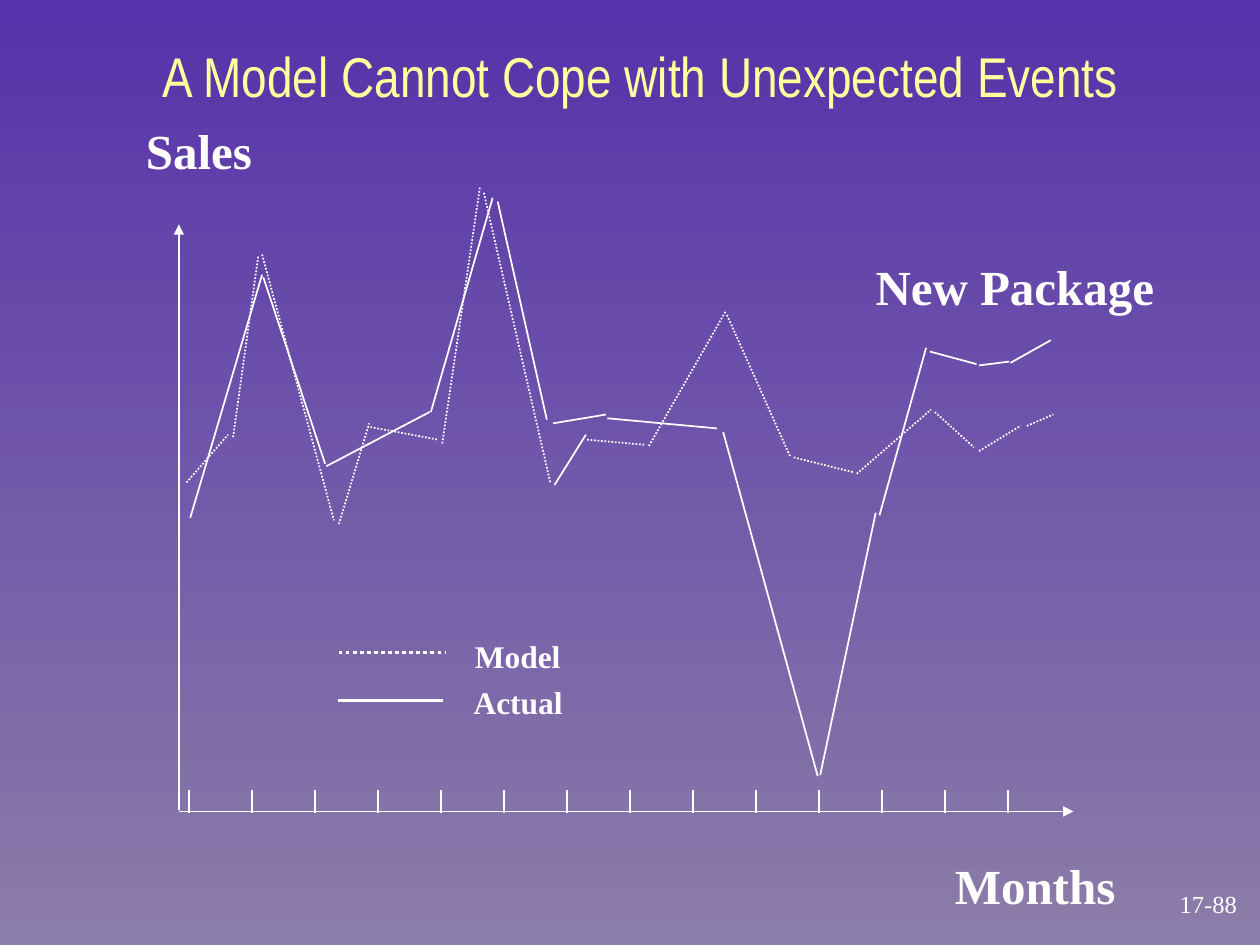
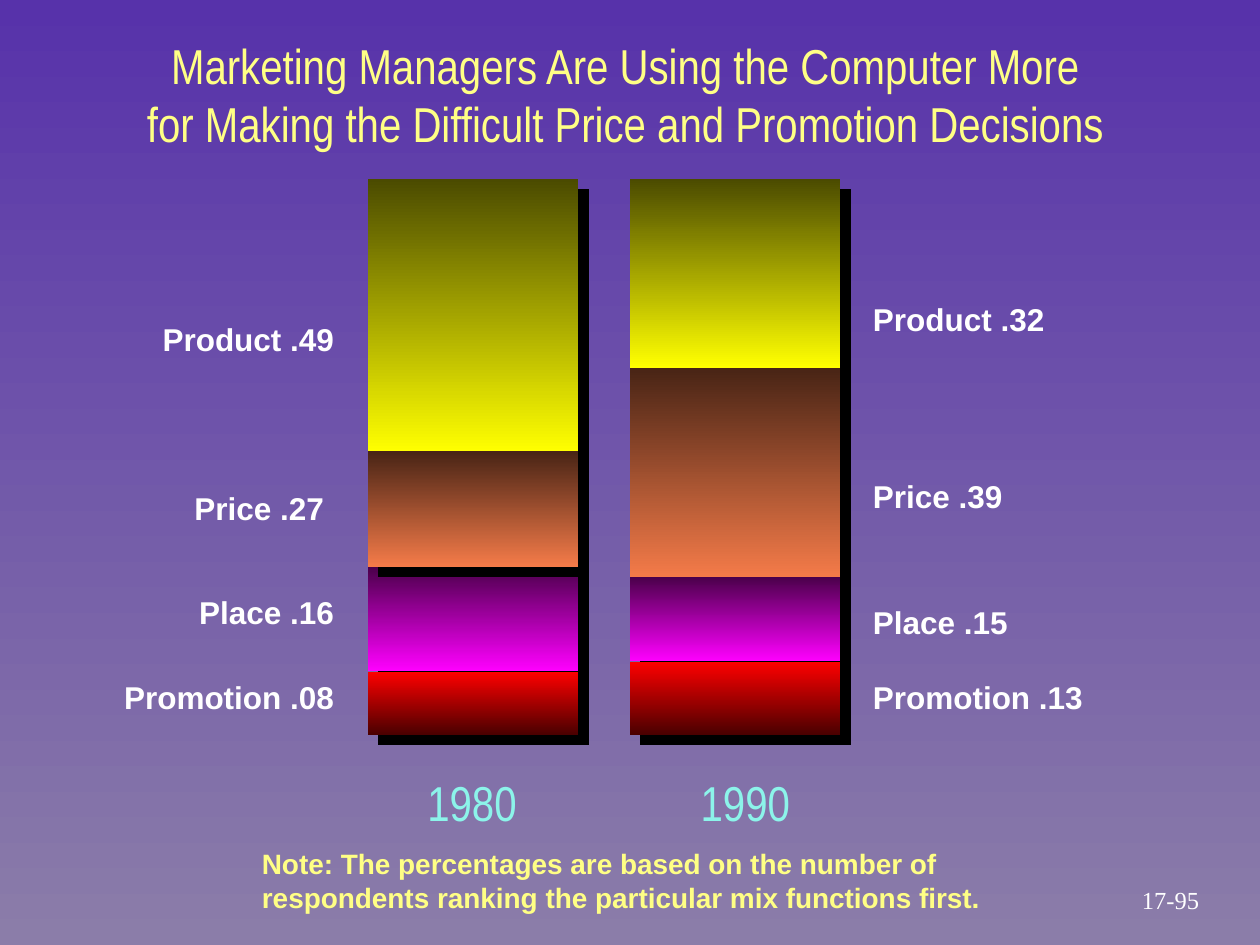
"""Build two marketing slides: a sales forecast and a computer-use comparison."""
from dataclasses import dataclass
from typing import NamedTuple

from lxml import etree
from pptx import Presentation
from pptx import util as u
from pptx.dml.color import RGBColor
from pptx.enum import dml, shapes, text
from pptx.oxml import ns

PX = 9144


@dataclass(frozen=True)
class Theme:
    """Colours, fonts and type sizes."""
    sky: tuple[str, str] = ("5732AA", "8B7DA9")
    white: str = "FFFFFF"
    pale_yellow: str = "FFFF9D"
    yellow: str = "FFFF85"
    aqua: str = "8CF4EA"
    shadow: str = "000000"
    product: tuple[str, str] = ("4B4B00", "FFFF00")
    price: tuple[str, str] = ("482415", "F57B49")
    place: tuple[str, str] = ("4B004B", "FF00FF")
    promotion: tuple[str, str] = ("FF0000", "4B0000")
    serif: str = "Times New Roman"
    sans: str = "Arial"
    narrow: str = "Arial Narrow"
    title: int = 32
    heading: int = 28
    label: int = 18
    note: int = 16
    footer: int = 14


THEME = Theme()


class Style(NamedTuple):
    """How a piece of text looks."""
    font: str
    size: int
    color: str
    bold: bool = False
    align: text.PP_ALIGN = text.PP_ALIGN.LEFT
    anchor: text.MSO_ANCHOR = text.MSO_ANCHOR.TOP


class Area(NamedTuple):
    """A rectangle in px."""
    left: int
    top: int
    width: int
    height: int


class Label(NamedTuple):
    """Lines of text in an area."""
    lines: tuple[str, ...]
    area: Area
    style: Style


class Segment(NamedTuple):
    """A straight line between two points in px."""
    x1: int
    y1: int
    x2: int
    y2: int


class Band(NamedTuple):
    """One part of a stacked bar."""
    left: int
    top: int
    height: int
    colors: tuple[str, str]


CENTER = text.PP_ALIGN.CENTER
AXIS_NAME = Style(THEME.serif, THEME.heading, THEME.white, True)
LEGEND = AXIS_NAME._replace(size=THEME.label)
TITLE = Style(THEME.narrow, THEME.title, THEME.pale_yellow, align=CENTER)
LONG_TITLE = TITLE._replace(size=THEME.heading, color=THEME.yellow)
YEAR = LONG_TITLE._replace(color=THEME.aqua)
RIGHT_SHARE = Style(THEME.sans, THEME.label, THEME.white, True)
LEFT_SHARE = RIGHT_SHARE._replace(align=text.PP_ALIGN.RIGHT)
NOTE = RIGHT_SHARE._replace(size=THEME.note, color=THEME.yellow)
FOOTER = Style(THEME.serif, THEME.footer, THEME.white, align=CENTER,
               anchor=text.MSO_ANCHOR.MIDDLE)

AXES = (Segment(142, 643, 142, 178), Segment(142, 644, 852, 644))
TICKS = [Segment(x, 645, x, 627) for x in range(150, 801, 50)]
ACTUAL = [Segment(*ends) for ends in (
    (151, 411, 208, 218), (209, 220, 258, 368), (259, 370, 341, 327),
    (342, 327, 391, 157), (395, 160, 434, 333), (439, 336, 481, 329),
    (482, 332, 569, 340), (574, 343, 649, 616), (651, 615, 695, 407),
    (698, 409, 735, 276), (738, 279, 775, 289), (777, 290, 801, 287),
    (802, 288, 834, 270), (440, 385, 465, 345))]
MODEL = [Segment(*ends) for ends in (
    (148, 383, 181, 345), (185, 347, 205, 203), (208, 202, 265, 413),
    (269, 416, 293, 336), (294, 339, 348, 349), (351, 352, 381, 148),
    (384, 153, 437, 384), (466, 349, 512, 353), (515, 354, 576, 247),
    (577, 250, 627, 362), (630, 363, 678, 375), (680, 376, 739, 325),
    (742, 327, 773, 355), (777, 358, 810, 338), (815, 338, 836, 329))]
FORECAST_LABELS = (
    Label(("Sales",), Area(106, 91, 120, 56), AXIS_NAME),
    Label(("Months",), Area(748, 674, 165, 56), AXIS_NAME),
    Label(("New Package",), Area(685, 199, 255, 56), AXIS_NAME),
    Label(("Model",), Area(367, 501, 109, 40), LEGEND),
    Label(("Actual",), Area(366, 537, 109, 40), LEGEND),
    Label(("A Model Cannot Cope with Unexpected Events",), Area(58, 28, 901, 116), TITLE),
    Label(("17-88",), Area(918, 700, 82, 34), FOOTER),
)

BAR_WIDTH = 167
BAR_1980, BAR_1990 = 292, 500
BANDS = (
    Band(BAR_1980, 142, 217, THEME.product),
    Band(BAR_1990, 142, 150, THEME.product),
    Band(BAR_1990, 292, 167, THEME.price),
    Band(BAR_1980, 450, 83, THEME.place),
    Band(BAR_1990, 458, 67, THEME.place),
    Band(BAR_1980, 533, 50, THEME.promotion),
    Band(BAR_1990, 525, 58, THEME.promotion),
    Band(BAR_1980, 358, 92, THEME.price),
)
SHARES_1980 = (("Product .49", 275, 249), ("Price .27", 267, 383),
               ("Place .16", 275, 466), ("Promotion .08", 275, 533))
SHARES_1990 = (("Product .32", 233), ("Price .39", 374),
               ("Place .15", 474), ("Promotion .13", 533))
SHARE_WIDTH = 217
MIX_LABELS = (
    Label(("Marketing Managers Are Using the Computer More",
           "for Making the Difficult Price and Promotion Decisions"),
          Area(0, 23, 992, 150), LONG_TITLE),
    *(Label((share,), Area(right - SHARE_WIDTH, top, SHARE_WIDTH, 40), LEFT_SHARE)
      for share, right, top in SHARES_1980),
    *(Label((share,), Area(683, top, SHARE_WIDTH, 40), RIGHT_SHARE)
      for share, top in SHARES_1990),
    Label(("1980",), Area(299, 608, 151, 56), YEAR),
    Label(("1990",), Area(516, 608, 151, 56), YEAR),
    Label(("Note: The percentages are based on the number of "
           "respondents ranking the particular mix functions first.",),
          Area(198, 667, 661, 63), NOTE),
    Label(("17-95",), Area(888, 697, 82, 34), FOOTER),
)


def emu(*lengths: int) -> list[int]:
    """Turn px into EMU."""
    return [length * PX for length in lengths]


def fill_down(fill, colors: tuple[str, str]) -> None:
    """Fill with a gradient running from top to bottom."""
    fill.gradient()
    fill.gradient_angle = 270
    for stop, color in zip(fill.gradient_stops, colors):
        stop.color.rgb = RGBColor.from_string(color)


def add_label(page, label: Label) -> None:
    """Draw a text box, one paragraph to a line."""
    style = label.style
    box = page.shapes.add_textbox(*emu(*label.area))
    frame = box.text_frame
    frame.word_wrap = True
    frame.vertical_anchor = style.anchor
    for index, line in enumerate(label.lines):
        para = frame.add_paragraph() if index else frame.paragraphs[0]
        para.alignment = style.align
        span = para.add_run()
        span.text = line
        span.font.name = style.font
        span.font.size = u.Pt(style.size)
        span.font.bold = style.bold
        span.font.color.rgb = RGBColor.from_string(style.color)


def add_segment(page, segment: Segment, width: int = 1,
                dotted: bool = False, arrow: bool = False) -> None:
    """Draw a white line, dotted or with an arrowhead at its end if asked."""
    connector = page.shapes.add_connector(shapes.MSO_CONNECTOR.STRAIGHT, *emu(*segment))
    line = connector.line
    line.color.rgb = RGBColor.from_string(THEME.white)
    line.width = u.Pt(width)
    properties = connector._element.spPr
    if dotted:
        line.dash_style = dml.MSO_LINE.ROUND_DOT
    if arrow:
        etree.SubElement(properties.find(ns.qn("a:ln")), ns.qn("a:tailEnd"), type="triangle")
    etree.SubElement(properties, ns.qn("a:effectLst"))


def add_band(page, band: Band) -> None:
    """Draw one part of a bar with a hard shadow."""
    area = Area(band.left, band.top, BAR_WIDTH, band.height)
    shape = page.shapes.add_shape(shapes.MSO_SHAPE.RECTANGLE, *emu(*area))
    fill_down(shape.fill, band.colors)
    shape.line.fill.background()
    shape.shadow.inherit = False
    effects = shape._element.spPr.find(ns.qn("a:effectLst"))
    shadow = etree.SubElement(effects, ns.qn("a:outerShdw"), blurRad="0",
                              dist=str(u.Pt(8.5)), dir="2700000", algn="ctr", rotWithShape="0")
    etree.SubElement(shadow, ns.qn("a:srgbClr"), val=THEME.shadow)


def add_forecast(page) -> None:
    """Draw the forecast slide."""
    for axis in AXES:
        add_segment(page, axis, arrow=True)
    for segment in TICKS + ACTUAL:
        add_segment(page, segment)
    for segment in MODEL:
        add_segment(page, segment, dotted=True)
    add_segment(page, Segment(269, 518, 354, 518), width=2, dotted=True)
    add_segment(page, Segment(268, 556, 352, 556), width=2)
    for label in FORECAST_LABELS:
        add_label(page, label)


def add_mix(page) -> None:
    """Draw the marketing mix slide."""
    for band in BANDS:
        add_band(page, band)
    for label in MIX_LABELS:
        add_label(page, label)


def main() -> None:
    """Build and save the deck."""
    deck = Presentation()
    deck.slide_width, deck.slide_height = emu(1000, 750)
    fill_down(deck.slide_master.background.fill, THEME.sky)
    for draw in (add_forecast, add_mix):
        draw(deck.slides.add_slide(deck.slide_layouts[6]))
    deck.save("out.pptx")


if __name__ == "__main__":
    main()
